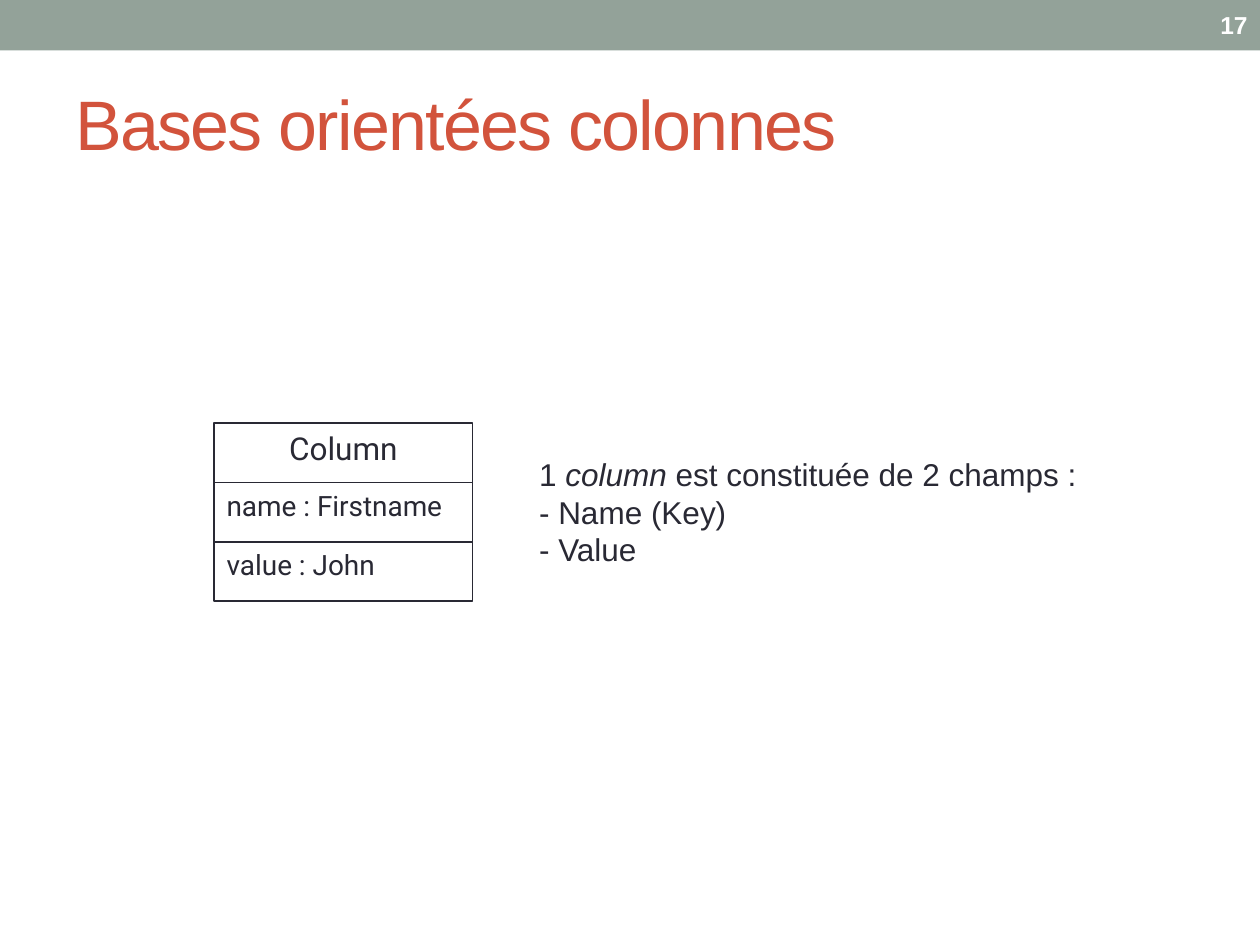
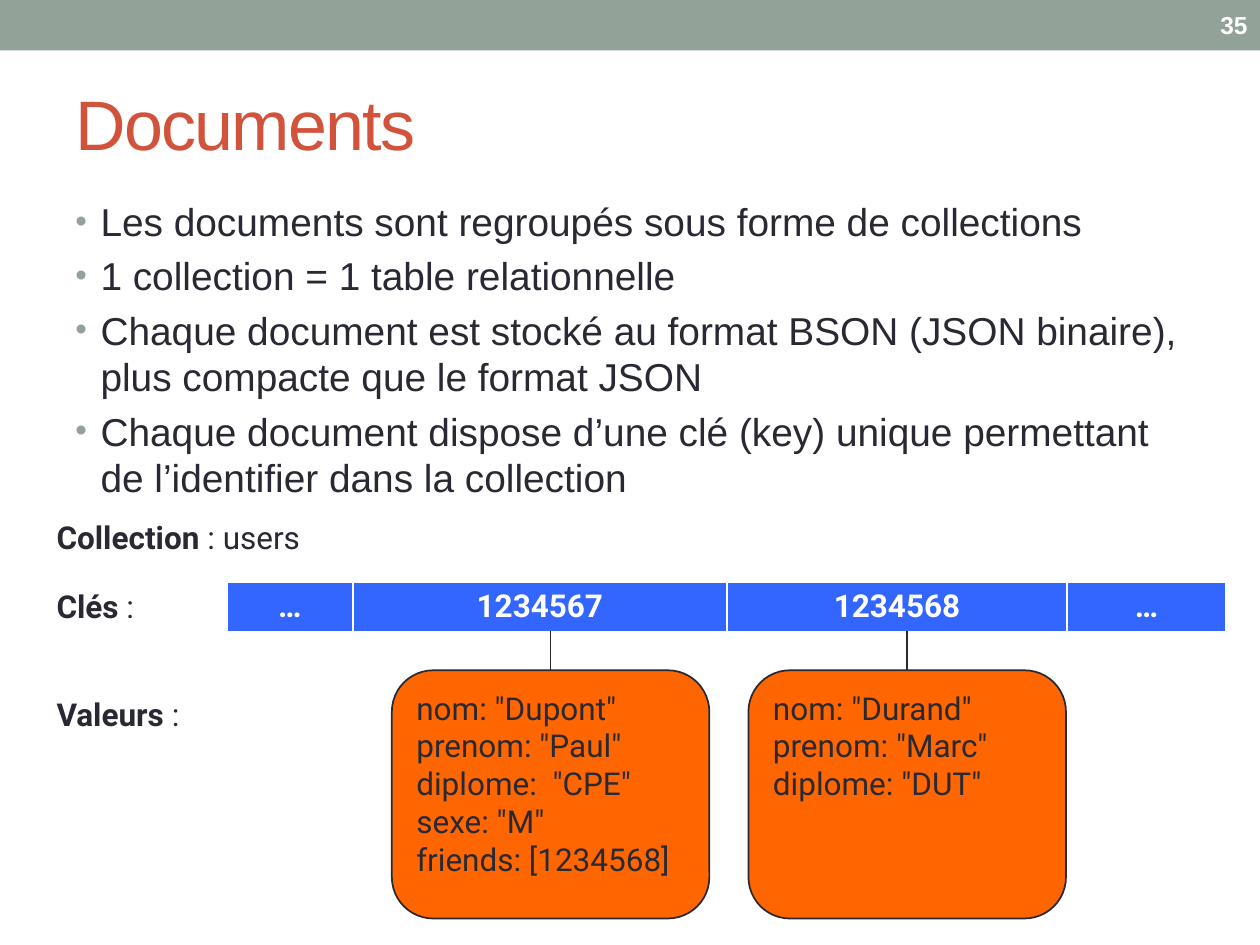
"""Build two slides on column-oriented and document-oriented databases."""
from lxml import etree
from pptx import Presentation
from pptx.dml.color import RGBColor
from pptx.enum.shapes import MSO_CONNECTOR, MSO_SHAPE
from pptx.enum.text import MSO_ANCHOR, PP_ALIGN
from pptx.oxml.ns import qn
from pptx.util import Inches, Pt

RECTANGLE, ROUNDED = MSO_SHAPE.RECTANGLE, MSO_SHAPE.ROUNDED_RECTANGLE
STRAIGHT = MSO_CONNECTOR.STRAIGHT
TOP, MIDDLE = MSO_ANCHOR.TOP, MSO_ANCHOR.MIDDLE
LEFT, CENTER, RIGHT = PP_ALIGN.LEFT, PP_ALIGN.CENTER, PP_ALIGN.RIGHT

COLORS = {
    "band": "93A299",
    "title": "D2533C",
    "ink": "292934",
    "white": "FFFFFF",
    "key": "3366FF",
    "value": "FF6600",
}
FORMATS = {
    "title": {"name": "Arial", "size": Pt(40), "color": "title"},
    "number": {"name": "Arial", "size": Pt(14), "bold": True, "color": "white"},
    "bullet": {"name": "Arial", "size": Pt(22.2), "color": "ink"},
    "note": {"name": "Arial", "size": Pt(18), "color": "ink"},
    "field": {"name": "Roboto", "size": Pt(16), "color": "ink"},
    "label": {"name": "Roboto", "size": Pt(18), "color": "ink"},
    "key": {"name": "Roboto", "size": Pt(18), "bold": True, "color": "white"},
}


def write_text(frame, lines, style, align=LEFT, anchor=TOP):
    frame.word_wrap = True
    frame.vertical_anchor = anchor
    for index, line in enumerate(lines):
        para = frame.paragraphs[0] if index == 0 else frame.add_paragraph()
        para.alignment = align
        spans = [(line, {})] if isinstance(line, str) else line
        for text, changes in spans:
            span = para.add_run()
            span.text = text
            for name, value in {**FORMATS[style], **changes}.items():
                if name == "color":
                    span.font.color.rgb = RGBColor.from_string(COLORS[value])
                else:
                    setattr(span.font, name, value)


def add_box(page, shape_type, place, fill=None, line=None):
    box = page.shapes.add_shape(shape_type, *map(Inches, place))
    box.shadow.inherit = False
    for part, color in ((box.fill, fill), (box.line.fill, line)):
        if color:
            part.solid()
            part.fore_color.rgb = RGBColor.from_string(COLORS[color])
        else:
            part.background()
    if line:
        box.line.width = Pt(1)
    return box


deck = Presentation()
deck.slide_width, deck.slide_height = Inches(10), Inches(7.5)
pages = []
for title, number in (("Bases orientées colonnes", "17"), ("Documents", "35")):
    page = deck.slides.add_slide(deck.slide_layouts[6])
    add_box(page, RECTANGLE, (0, 0, 10, 0.4), fill="band")
    title_box = page.shapes.add_textbox(*map(Inches, (0.5, 0.43, 9, 1.08)))
    write_text(title_box.text_frame, [title], "title", anchor=MIDDLE)
    title_span = title_box.text_frame.paragraphs[0].runs[0]
    title_span._r.get_or_add_rPr().set("spc", "-100")
    number_box = page.shapes.add_textbox(*map(Inches, (9.28, 0.02, 0.72, 0.36)))
    write_text(number_box.text_frame, [number], "number", RIGHT, MIDDLE)
    pages.append(page)
column_page, document_page = pages

column_rows = (
    ("Column", "label", CENTER),
    ("name : Firstname", "field", LEFT),
    ("value : John", "field", LEFT),
)
for index, (text, style, align) in enumerate(column_rows):
    row_box = add_box(column_page, RECTANGLE, (1.7, 3.36 + index * 0.47, 2.05, 0.47), line="ink")
    write_text(row_box.text_frame, [text], style, align)

note_box = column_page.shapes.add_textbox(*map(Inches, (4.18, 3.56, 4.55, 1.01)))
note_lines = [
    [("1 ", {}), ("column", {"italic": True}), (" est constituée de 2 champs :", {})],
    "- Name (Key)",
    "- Value",
]
write_text(note_box.text_frame, note_lines, "note")

bullets = [
    "Les documents sont regroupés sous forme de collections",
    "1 collection = 1 table relationnelle",
    "Chaque document est stocké au format BSON (JSON binaire), plus compacte que le format JSON",
    "Chaque document dispose d’une clé (key) unique permettant de l’identifier dans la collection",
]
body_box = document_page.shapes.add_textbox(*map(Inches, (0.5, 1.52, 9, 2.33)))
write_text(body_box.text_frame, bullets, "bullet")
for index, para in enumerate(body_box.text_frame.paragraphs):
    para.space_before = Pt(4.4 if index else 0)
    properties = para._p.get_or_add_pPr()
    properties.set("marL", str(Inches(0.2)))
    properties.set("indent", str(-Inches(0.2)))
    bullet_color = etree.SubElement(properties, qn("a:buClr"))
    etree.SubElement(bullet_color, qn("a:srgbClr"), val=COLORS["band"])
    etree.SubElement(properties, qn("a:buSzPct"), val="85000")
    etree.SubElement(properties, qn("a:buFont"), typeface="Arial")
    etree.SubElement(properties, qn("a:buChar"), char="•")

keys = (("…", 1), ("1234567", 2.97), ("1234568", 2.7), ("…", 1.26))
key_frame = document_page.shapes.add_table(1, len(keys), *map(Inches, (1.8, 4.62, 7.93, 0.41)))
key_table = key_frame.table
key_table.rows[0].height = Inches(0.41)
for index, (key, width) in enumerate(keys):
    key_table.columns[index].width = Inches(width)
    cell = key_table.cell(0, index)
    cell_properties = cell._tc.get_or_add_tcPr()
    for side, points in (("L", 1), ("R", 1), ("T", 1), ("B", 3)):
        border = etree.SubElement(cell_properties, qn(f"a:ln{side}"), w=str(Pt(points)))
        border_fill = etree.SubElement(border, qn("a:solidFill"))
        etree.SubElement(border_fill, qn("a:srgbClr"), val=COLORS["white"])
    cell.fill.solid()
    cell.fill.fore_color.rgb = RGBColor.from_string(COLORS["key"])
    write_text(cell.text_frame, [key], "key", CENTER)

labels = (
    ("Collection", " : users", 4.06, 2.38),
    ("Clés", " :", 4.61, 0.89),
    ("Valeurs", " :", 5.47, 1.32),
)
for name, rest, top, width in labels:
    label_box = document_page.shapes.add_textbox(*map(Inches, (0.35, top, width, 0.4)))
    write_text(label_box.text_frame, [[(name, {"bold": True}), (rest, {})]], "label")

documents = (
    ['nom: "Dupont"', 'prenom: "Paul"', 'diplome:  "CPE"', 'sexe: "M"', "friends: [1234568]"],
    ['nom: "Durand"', 'prenom: "Marc"', 'diplome: "DUT"'],
)
for index, fields in enumerate(documents):
    left = 3.11 + index * 2.83
    value_box = add_box(document_page, ROUNDED, (left, 5.32, 2.52, 1.97), "value", "ink")
    write_text(value_box.text_frame, fields, "label")
    middle = left + 2.52 / 2
    link = document_page.shapes.add_connector(STRAIGHT, *map(Inches, (middle, 5.01, middle, 5.32)))
    link.line.color.rgb = RGBColor.from_string(COLORS["ink"])
    link.line.width = Pt(1)
    etree.SubElement(link._element.spPr, qn("a:effectLst"))

deck.save("out.pptx")
